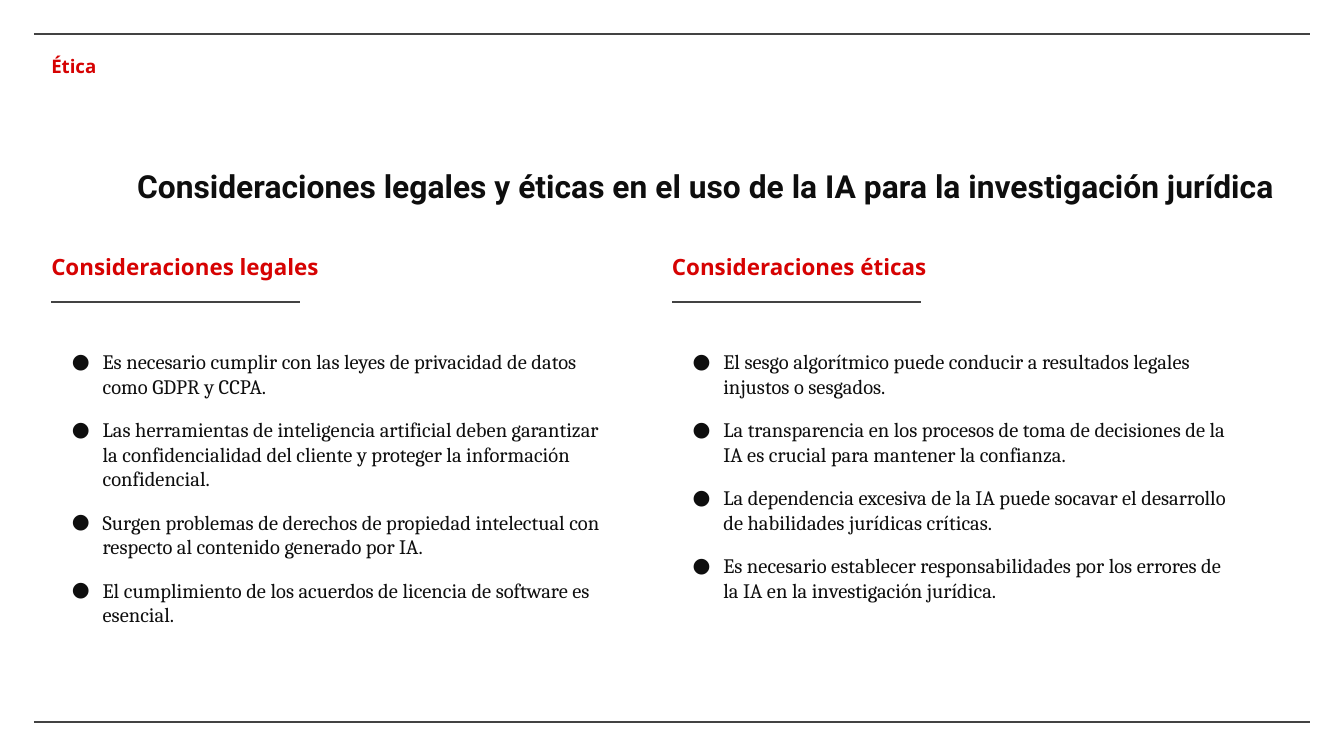
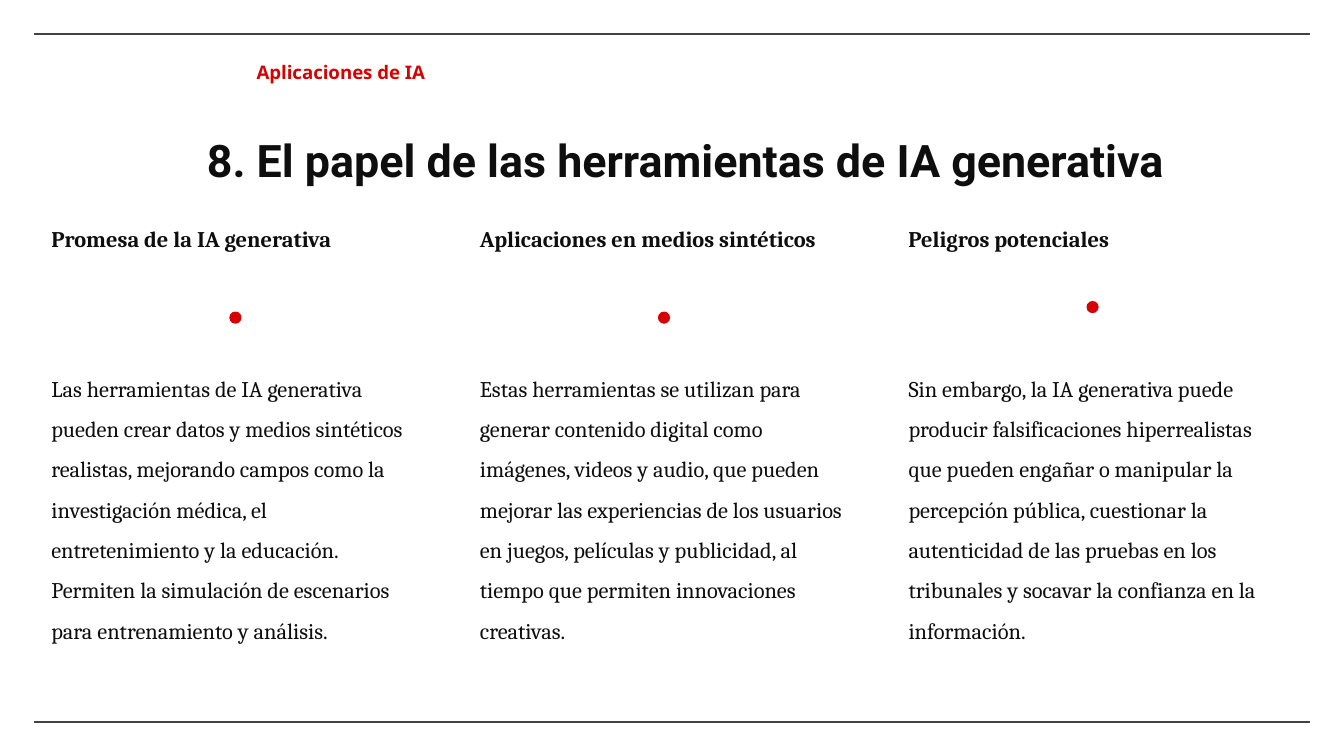
import dataclasses
import typing

import lxml.etree
import pptx
import pptx.dml.color
import pptx.enum.shapes
import pptx.enum.text
import pptx.oxml.ns
import pptx.slide
import pptx.util

Cm = pptx.util.Cm
Pt = pptx.util.Pt
Anchor = pptx.enum.text.MSO_ANCHOR


@dataclasses.dataclass(frozen=True)
class Theme:
    ink: str = "0E0E0E"
    red: str = "D60202"
    gray: str = "434343"
    paper: str = "FFFFFF"
    sans: str = "Noto Sans"
    serif: str = "Cambria"
    display: str = "Roboto"
    tag: int = 10
    item: int = 11
    text: int = 12
    long: int = 17
    short: int = 24
    line: float = 0.75


THEME = Theme()


@dataclasses.dataclass(frozen=True)
class Box:
    left: float
    top: float
    width: float
    height: float


@dataclasses.dataclass(frozen=True)
class Style:
    face: str
    size: int
    color: str
    bold: bool = True
    anchor: Anchor = Anchor.TOP
    right: float = 0.25
    lines: float = 1.0
    before: int = 0
    after: int = 0
    bullet: str = ""


@dataclasses.dataclass(frozen=True)
class Column:
    head: str
    body: tuple[str, ...]


@dataclasses.dataclass(frozen=True)
class Grid:
    pitch: float
    width: float
    head: tuple[float, float]
    body: tuple[float, float]


LEFT = 0.97
EDGE = 0.64
WIDE, HIGH = 25.4, 14.29
TAG = Style(THEME.sans, THEME.tag, THEME.red)
LONG = Style(THEME.display, THEME.long, THEME.ink, anchor=Anchor.BOTTOM, right=0, lines=0.75)
SHORT = dataclasses.replace(LONG, size=THEME.short)
RED_HEAD = Style(THEME.sans, THEME.text, THEME.red, anchor=Anchor.BOTTOM, after=8)
INK_HEAD = Style(THEME.serif, THEME.text, THEME.ink, after=8)
LIST = Style(THEME.serif, THEME.item, THEME.ink, bold=False, right=0, before=10, bullet="●")
PROSE = Style(THEME.serif, THEME.text, THEME.ink, bold=False, right=0, lines=1.5, after=10)

PAIR = Grid(11.73, 10.49, (3.61, 1.93), (6.35, 6.91))
TRIO = Grid(8.1, 6.96, (4.01, 1.68), (6.58, 6.27))

ETHICS = (
    Column("Consideraciones legales", (
        "Es necesario cumplir con las leyes de privacidad de datos como GDPR y CCPA.",
        "Las herramientas de inteligencia artificial deben garantizar la confidencialidad "
        "del cliente y proteger la información confidencial.",
        "Surgen problemas de derechos de propiedad intelectual con respecto al contenido "
        "generado por IA.",
        "El cumplimiento de los acuerdos de licencia de software es esencial.",
    )),
    Column("Consideraciones éticas", (
        "El sesgo algorítmico puede conducir a resultados legales injustos o sesgados.",
        "La transparencia en los procesos de toma de decisiones de la IA es crucial para "
        "mantener la confianza.",
        "La dependencia excesiva de la IA puede socavar el desarrollo de habilidades "
        "jurídicas críticas.",
        "Es necesario establecer responsabilidades por los errores de la IA en la "
        "investigación jurídica.",
    )),
)

TOOLS = (
    Column("Promesa de la IA generativa", (
        "Las herramientas de IA generativa pueden crear datos y medios sintéticos realistas, "
        "mejorando campos como la investigación médica, el entretenimiento y la educación. "
        "Permiten la simulación de escenarios para entrenamiento y análisis.",
    )),
    Column("Aplicaciones en medios sintéticos", (
        "Estas herramientas se utilizan para generar contenido digital como imágenes, videos "
        "y audio, que pueden mejorar las experiencias de los usuarios en juegos, películas y "
        "publicidad, al tiempo que permiten innovaciones creativas.",
    )),
    Column("Peligros potenciales", (
        "Sin embargo, la IA generativa puede producir falsificaciones hiperrealistas que "
        "pueden engañar o manipular la percepción pública, cuestionar la autenticidad de las "
        "pruebas en los tribunales y socavar la confianza en la información.",
    )),
)


def tint(code: str) -> pptx.dml.color.RGBColor:
    return pptx.dml.color.RGBColor.from_string(code)


def apply(target: typing.Any, values: dict[str, typing.Any]) -> None:
    for name, value in values.items():
        setattr(target, name, value)


def mark(para: typing.Any, style: Style) -> None:
    props = para._p.get_or_add_pPr()
    props.set("marL", str(Cm(0.97) if style.bullet else 0))
    props.set("indent", str(Cm(-0.58) if style.bullet else 0))

    def add(parent: typing.Any, tag: str, **attrs: str) -> typing.Any:
        return lxml.etree.SubElement(parent, pptx.oxml.ns.qn(tag), attrs)

    if style.bullet:
        add(add(props, "a:buClr"), "a:srgbClr", val=style.color)
        add(props, "a:buFont", typeface=style.face)
        add(props, "a:buChar", char=style.bullet)
    else:
        add(props, "a:buNone")


def write(shape: typing.Any, box: Box, lines: tuple[str, ...], style: Style) -> None:
    apply(shape, {name: Cm(value) for name, value in dataclasses.asdict(box).items()})
    frame = shape.text_frame
    apply(frame, {
        "word_wrap": True,
        "auto_size": pptx.enum.text.MSO_AUTO_SIZE.NONE,
        "vertical_anchor": style.anchor,
        "margin_left": 0,
        "margin_right": Cm(style.right),
        "margin_top": Cm(0.25),
        "margin_bottom": Cm(0.25),
    })
    for index, line in enumerate(lines):
        para = frame.add_paragraph() if index else frame.paragraphs[0]
        mark(para, style)
        apply(para, {
            "alignment": pptx.enum.text.PP_ALIGN.LEFT,
            "line_spacing": style.lines,
            "space_before": Pt(style.before if index else 0),
            "space_after": Pt(style.after),
        })
        run = para.add_run()
        run.text = line
        apply(run.font, {"name": style.face, "size": Pt(style.size), "bold": style.bold})
        run.font.color.rgb = tint(style.color)


def label(slide: pptx.slide.Slide, box: Box, text: str, style: Style) -> None:
    write(slide.shapes.add_textbox(0, 0, 0, 0), box, (text,), style)


def rule(slide: pptx.slide.Slide, left: float, top: float, width: float) -> None:
    line = slide.shapes.add_connector(
        pptx.enum.shapes.MSO_CONNECTOR.STRAIGHT,
        Cm(left), Cm(top), Cm(left + width), Cm(top))
    line.line.color.rgb = tint(THEME.gray)
    line.line.width = Pt(THEME.line)
    lxml.etree.SubElement(line._element.spPr, pptx.oxml.ns.qn("a:effectLst"))


def dot(slide: pptx.slide.Slide, left: float, top: float, size: float) -> None:
    disc = slide.shapes.add_shape(
        pptx.enum.shapes.MSO_SHAPE.OVAL, Cm(left), Cm(top), Cm(size), Cm(size))
    disc.shadow.inherit = False
    disc.fill.solid()
    disc.fill.fore_color.rgb = tint(THEME.red)
    disc.line.fill.background()


def start(deck: typing.Any, layout: int, title: str, box: Box, style: Style) -> pptx.slide.Slide:
    slide = deck.slides.add_slide(deck.slide_layouts[layout])
    slide.background.fill.solid()
    slide.background.fill.fore_color.rgb = tint(THEME.paper)
    for top in (EDGE, HIGH - EDGE):
        rule(slide, EDGE, top, WIDE - 2 * EDGE)
    write(slide.shapes.title, box, (title,), style)
    return slide


def fill(slide: pptx.slide.Slide, grid: Grid, cols: tuple[Column, ...],
         head: Style, body: Style) -> list[float]:
    slots = [slot for slot in slide.placeholders if slot.placeholder_format.idx]
    lefts = [LEFT + index * grid.pitch for index in range(len(cols))]
    for left, col, slot in zip(lefts, cols, slots):
        label(slide, Box(left, grid.head[0], grid.width, grid.head[1]), col.head, head)
        write(slot, Box(left, grid.body[0], grid.width, grid.body[1]), col.body, body)
    for slot in slots[len(cols):]:
        slot._element.getparent().remove(slot._element)
    return lefts


def ethics(deck: typing.Any) -> None:
    slide = start(
        deck, 3,
        "Consideraciones legales y éticas en el uso de la IA para la investigación jurídica",
        Box(2.59, 2.51, 23.14, 1.6), LONG)
    label(slide, Box(LEFT, 0.79, 11.76, 0.66), "Ética", TAG)
    for left in fill(slide, PAIR, ETHICS, RED_HEAD, LIST):
        rule(slide, left, 5.71, 4.7)


def tools(deck: typing.Any) -> None:
    slide = start(deck, 4, "8. El papel de las herramientas de IA generativa",
                  Box(3.91, 2.16, 23.14, 1.6), SHORT)
    label(slide, Box(4.85, 0.91, 11.76, 0.66), "Aplicaciones de IA", TAG)
    size = 0.23
    lefts = fill(slide, TRIO, TOOLS, INK_HEAD, PROSE)
    for left, top in zip(lefts, (5.89, 5.89, 5.69)):
        dot(slide, left + (TRIO.width - size) / 2, top, size)


def main() -> None:
    deck = pptx.Presentation()
    apply(deck, {"slide_width": Cm(WIDE), "slide_height": Cm(HIGH)})
    ethics(deck)
    tools(deck)
    deck.save("out.pptx")


if __name__ == "__main__":
    main()
